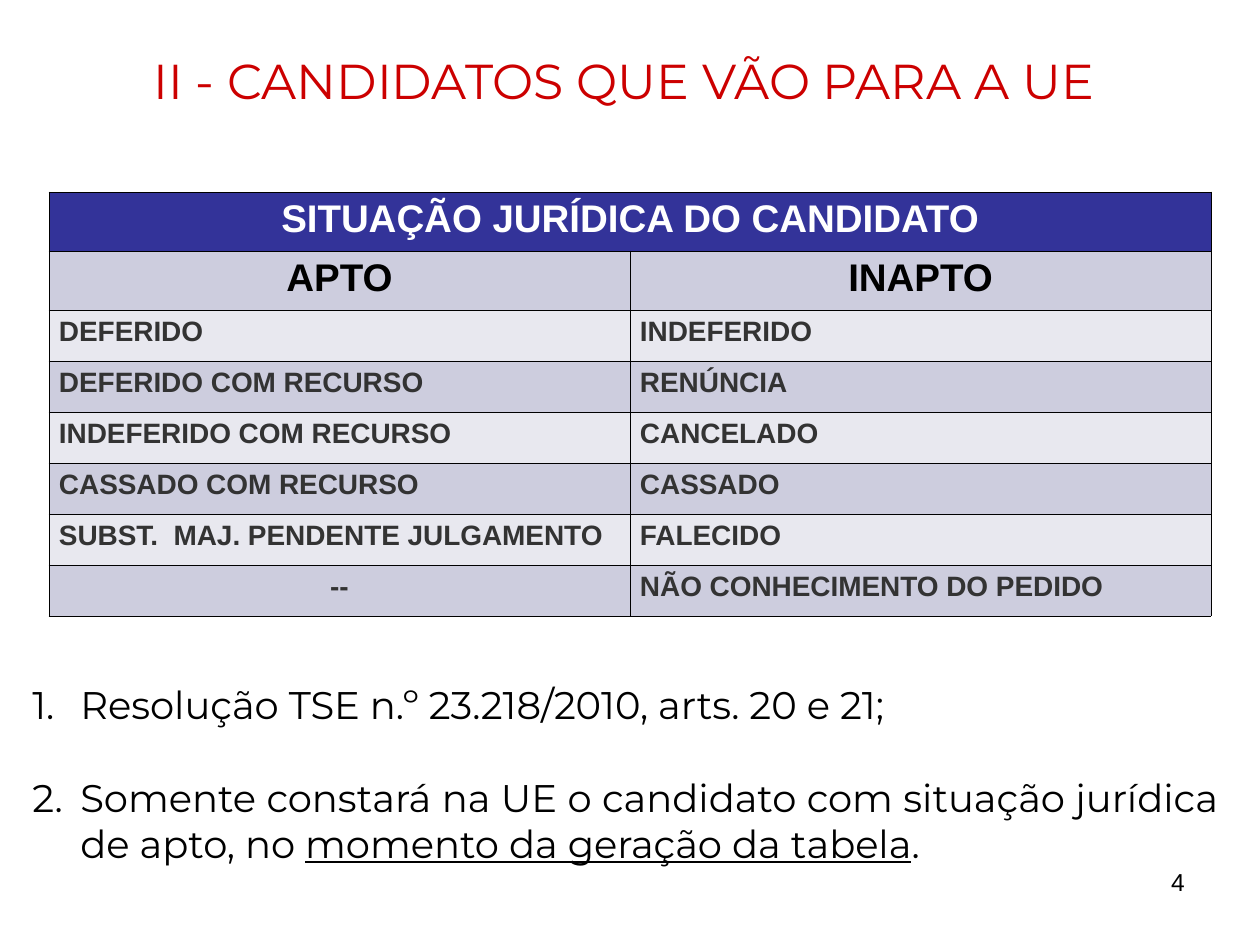
import pptx
import pptx.util
import pptx.dml.color
import pptx.enum.text
import pptx.oxml

TITLE = "II - CANDIDATOS QUE VÃO PARA A UE "
HEAD = "SITUAÇÃO JURÍDICA DO CANDIDATO"
ROWS = [
    (HEAD, ""),
    ("APTO", "INAPTO"),
    ("DEFERIDO", "INDEFERIDO"),
    ("DEFERIDO COM RECURSO", "RENÚNCIA"),
    ("INDEFERIDO COM RECURSO", "CANCELADO"),
    ("CASSADO COM RECURSO", "CASSADO"),
    ("SUBST.  MAJ. PENDENTE JULGAMENTO", "FALECIDO"),
    ("--", "NÃO CONHECIMENTO DO PEDIDO"),
]
NOTES = [
    [("Resolução TSE n.º 23.218/2010, arts. 20 e 21;", False)],
    [("Somente constará na UE o candidato com situação jurídica de apto, no ", False),
     ("momento da geração da tabela", True), (".", False)],
]
PAGE = "4"

ALIGN = pptx.enum.text.PP_ALIGN
ANCHOR = pptx.enum.text.MSO_ANCHOR
SCALE = 914400 / 126
NS = 'xmlns:a="http://schemas.openxmlformats.org/drawingml/2006/main"'

FONTS = {
    "title": {"name": "Montserrat", "size": 28, "color": "CC0000"},
    "head": {"name": "Arial", "size": 22, "color": "FFFFFF", "bold": True},
    "sub": {"name": "Arial", "size": 22, "color": "000000", "bold": True},
    "body": {"name": "Arial", "size": 16, "color": "333333", "bold": True},
    "note": {"name": "Montserrat", "size": 22, "color": "000000"},
    "page": {"name": "Arial", "size": 14, "color": "000000"},
}


def px(n):
    return pptx.util.Emu(round(n * SCALE))


def tint(part, code):
    part.rgb = pptx.dml.color.RGBColor.from_string(code)


def write(para, text, style, line=False):
    run = para.add_run()
    run.text = text
    for key, value in FONTS[style].items():
        if key == "color":
            tint(run.font.color, value)
        else:
            setattr(run.font, key, pptx.util.Pt(value) if key == "size" else value)
    if line:
        run.font.underline = True


def add_box(slide, area, **form):
    frame = slide.shapes.add_textbox(*map(px, area)).text_frame
    frame.word_wrap = True
    for key, value in form.items():
        setattr(frame, key, value)
    return frame


def add_line(slide, area, text, style, align, **form):
    para = add_box(slide, area, **form).paragraphs[0]
    para.alignment = align
    write(para, text, style)


def add_edges(cell):
    props = cell._tc.get_or_add_tcPr()
    for spot, side in enumerate("LRTB"):
        props.insert(spot, pptx.oxml.parse_xml(
            f'<a:ln{side} {NS} w="5715"><a:solidFill><a:srgbClr val="000000"/>'
            f'</a:solidFill></a:ln{side}>'))


def add_grid(slide):
    tops = [59] * 2 + [51] * 6
    grid = slide.shapes.add_table(
        len(ROWS), 2, px(49), px(192), px(1162), px(sum(tops))).table
    for col in grid.columns:
        col.width = px(581)
    for r, texts in enumerate(ROWS):
        grid.rows[r].height = px(tops[r])
        style = ("head", "sub")[r] if r < 2 else "body"
        shade = "333399" if r == 0 else ("E8E8EF", "CDCDDE")[r % 2]
        for c, text in enumerate(texts):
            cell = grid.cell(r, c)
            add_edges(cell)
            cell.fill.solid()
            tint(cell.fill.fore_color, shade)
            cell.margin_left = cell.margin_right = px(13 if r < 2 else 10)
            cell.margin_top = cell.margin_bottom = px(6)
            para = cell.text_frame.paragraphs[0]
            para.alignment = ALIGN.CENTER if r < 2 or text == "--" else ALIGN.JUSTIFY
            if text:
                write(para, text, style)
    grid.cell(0, 0).merge(grid.cell(0, 1))


def add_notes(slide):
    frame = add_box(slide, (20, 145, 1211, 777), margin_top=px(536))
    for n, runs in enumerate(NOTES):
        para = frame.add_paragraph() if n else frame.paragraphs[0]
        para.alignment = ALIGN.JUSTIFY if n else ALIGN.LEFT
        if n:
            para.space_before = pptx.util.Pt(26.5)
        props = para._p.get_or_add_pPr()
        props.set("marL", str(px(48)))
        props.set("indent", str(-px(48)))
        for mark in ('buClr {}><a:srgbClr val="000000"/></a:buClr>',
                     'buFont {} typeface="Montserrat"/>',
                     'buAutoNum {} type="arabicPeriod"/>'):
            props.append(pptx.oxml.parse_xml("<a:" + mark.format(NS)))
        for text, line in runs:
            write(para, text, "note", line)


def main():
    deck = pptx.Presentation()
    deck.slide_width, deck.slide_height = px(1260), px(945)
    slide = deck.slides.add_slide(deck.slide_layouts[6])
    add_line(slide, (903, 861, 294, 66), PAGE, "page", ALIGN.RIGHT)
    add_line(slide, (63, 35, 1134, 89), TITLE, "title", ALIGN.CENTER,
             vertical_anchor=ANCHOR.MIDDLE)
    add_notes(slide)
    add_grid(slide)
    deck.save("out.pptx")


if __name__ == "__main__":
    main()
